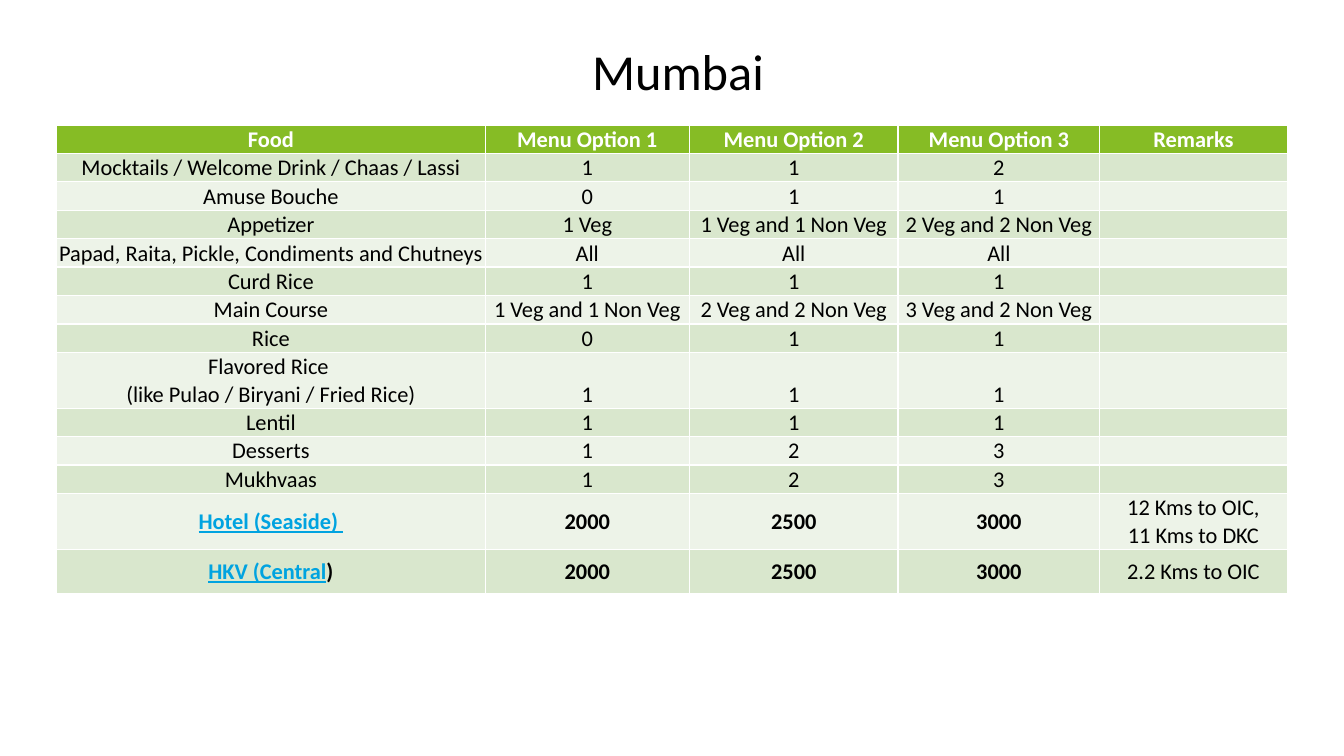
from pptx import Presentation
from pptx.dml.color import RGBColor
from pptx.enum.text import MSO_ANCHOR, PP_ALIGN
from pptx.util import Pt

CENTER = PP_ALIGN.CENTER
TOP, MIDDLE, BOTTOM = MSO_ANCHOR.TOP, MSO_ANCHOR.MIDDLE, MSO_ANCHOR.BOTTOM

BLACK = RGBColor(0x00, 0x00, 0x00)
WHITE = RGBColor(0xFF, 0xFF, 0xFF)
HEADER_GREEN = RGBColor(0x86, 0xBC, 0x25)
BAND_GREENS = (RGBColor(0xED, 0xF3, 0xE8), RGBColor(0xD9, 0xE7, 0xCD))
LINK_BLUE = RGBColor(0x00, 0xA3, 0xE0)

FONT = "Calibri"
TABLE_TEXT_SIZE = Pt(16)
COLUMN_WIDTHS = (306, 146, 149, 144, 134)
FOOD_ROW_HEIGHT, HOTEL_ROW_HEIGHT = 17.3, 31.7

HEADER = ("Food", "Menu Option 1", "Menu Option 2", "Menu Option 3", "Remarks")
FOODS = (
    ("Mocktails / Welcome Drink / Chaas / Lassi", "1", "1", "2", ""),
    ("Amuse Bouche", "0", "1", "1", ""),
    ("Appetizer", "1 Veg", "1 Veg and 1 Non Veg", "2 Veg and 2 Non Veg", ""),
    ("Papad, Raita, Pickle, Condiments and Chutneys", "All", "All", "All", ""),
    ("Curd Rice", "1", "1", "1", ""),
    ("Main Course", "1 Veg and 1 Non Veg", "2 Veg and 2 Non Veg", "3 Veg and 2 Non Veg", ""),
    ("Rice", "0", "1", "1", ""),
    ("Flavored Rice \n(like Pulao / Biryani / Fried Rice)", "1", "1", "1", ""),
    ("Lentil", "1", "1", "1", ""),
    ("Desserts", "1", "2", "3", ""),
    ("Mukhvaas", "1", "2", "3", ""),
)
HOTELS = (
    ("Hotel (Seaside) ", "2000", "2500", "3000", "12 Kms to OIC,\v11 Kms to DKC"),
    ("HKV (Central", "2000", "2500", "3000", "2.2 Kms to OIC"),
)


def set_attributes(target, values):
    for name, value in values.items():
        setattr(target, name, value)


def format_run(run, color, size=TABLE_TEXT_SIZE, bold=False, underline=False):
    set_attributes(run.font, {"name": FONT, "size": size, "bold": bold, "underline": underline})
    run.font.color.rgb = color


def place_title(slide, text, left, top, width, height):
    title = slide.shapes.title
    set_attributes(title, {"left": Pt(left), "top": Pt(top), "width": Pt(width), "height": Pt(height)})
    title.text_frame.text = text
    set_attributes(title.text_frame, {"vertical_anchor": TOP, "word_wrap": True})
    paragraph = title.text_frame.paragraphs[0]
    set_attributes(paragraph, {"alignment": CENTER, "space_after": Pt(10)})
    format_run(paragraph.runs[0], BLACK, Pt(36))


def fill_cell(cell, text, background, anchor, **font_values):
    set_attributes(cell, {
        "vertical_anchor": anchor, "margin_left": Pt(0.72), "margin_right": Pt(0.72),
        "margin_top": Pt(0.72), "margin_bottom": Pt(0),
    })
    cell.fill.solid()
    cell.fill.fore_color.rgb = background
    cell.text_frame.text = text
    for paragraph in cell.text_frame.paragraphs:
        paragraph.alignment = CENTER
        for run in paragraph.runs:
            format_run(run, **font_values)
        if not text:
            # An empty cell would otherwise stretch its row to the default text size.
            paragraph._p.get_or_add_endParaRPr().set("sz", str(int(TABLE_TEXT_SIZE.pt * 100)))


def cell_format(row_index, column_index):
    """Return the anchor and font values for a header, food or hotel cell."""
    if row_index == 0:
        return {"anchor": BOTTOM, "color": WHITE, "bold": True}
    if row_index <= len(FOODS):
        return {"anchor": BOTTOM, "color": BLACK}
    if column_index == 0:
        return {"anchor": MIDDLE, "color": LINK_BLUE, "bold": True, "underline": True}
    is_remark = column_index == len(HEADER) - 1
    return {"anchor": MIDDLE, "color": BLACK, "bold": not is_remark}


def add_menu_table(slide, left, top):
    rows = (HEADER, *FOODS, *HOTELS)
    heights = [FOOD_ROW_HEIGHT] * (1 + len(FOODS)) + [HOTEL_ROW_HEIGHT] * len(HOTELS)
    table = slide.shapes.add_table(
        len(rows), len(HEADER), Pt(left), Pt(top), Pt(sum(COLUMN_WIDTHS)), Pt(sum(heights))
    ).table
    for column, width in zip(table.columns, COLUMN_WIDTHS):
        column.width = Pt(width)
    for row_index, (texts, height) in enumerate(zip(rows, heights)):
        table.rows[row_index].height = Pt(height)
        background = BAND_GREENS[row_index % 2] if row_index else HEADER_GREEN
        for column_index, text in enumerate(texts):
            fill_cell(table.cell(row_index, column_index), text, background,
                      **cell_format(row_index, column_index))
    last_hotel = table.cell(len(rows) - 1, 0).text_frame.paragraphs[0]
    closing_bracket = last_hotel.add_run()
    closing_bracket.text = ")"
    format_run(closing_bracket, BLACK, bold=True)


def main():
    presentation = Presentation()
    presentation.slide_width, presentation.slide_height = Pt(960), Pt(540)
    slide = presentation.slides.add_slide(presentation.slide_layouts[5])
    add_menu_table(slide, 40.5, 89.3)
    place_title(slide, " Mumbai", 39.6, 25.2, 881.3, 85.7)
    presentation.save("out.pptx")


if __name__ == "__main__":
    main()
